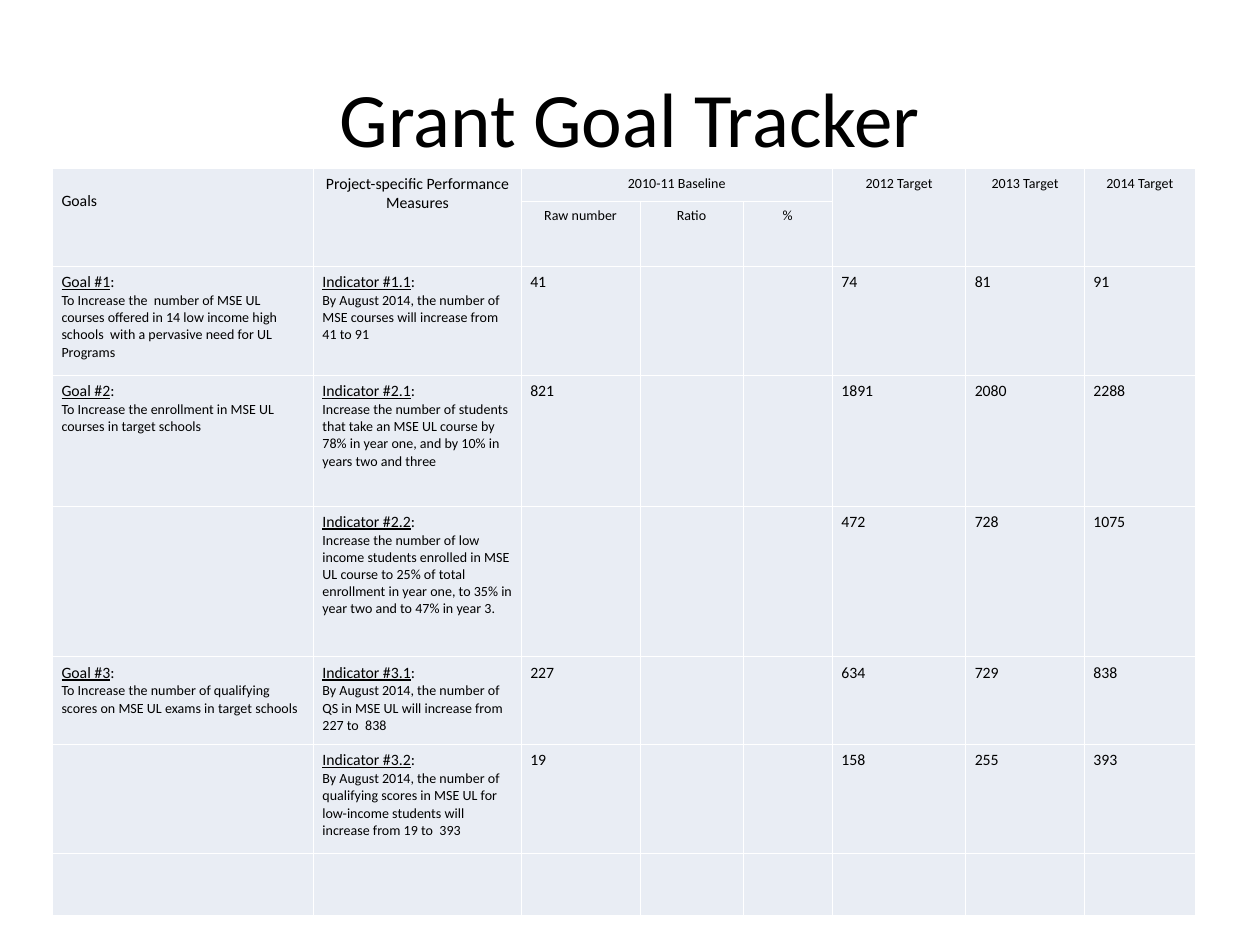
"""Build the Grant Goal Tracker slide: a title above a table of goals and yearly targets."""
from itertools import product

from lxml import etree
from pptx import Presentation
from pptx.dml.color import RGBColor
from pptx.enum.text import MSO_ANCHOR, PP_ALIGN
from pptx.oxml.ns import qn
from pptx.util import Cm, Pt

LEFT, CENTER = PP_ALIGN.LEFT, PP_ALIGN.CENTER
MIDDLE = MSO_ANCHOR.MIDDLE

TITLE = "Grant Goal Tracker"
HEADERS = [
    ["Goals", "Project-specific Performance Measures", "2010-11 Baseline", "", "",
     "2012 Target", "2013 Target", "2014 Target"],
    ["", "", "Raw number", "Ratio", "%", "", "", ""],
]
MERGES = [((0, col), (1, col)) for col in (0, 1, 5, 6, 7)] + [((0, 2), (0, 4))]
ROWS = [
    [("Goal #1", "To Increase the  number of MSE UL courses offered in 14 low income high "
                 "schools  with a pervasive need for UL Programs"),
     ("Indicator #1.1", "By August 2014, the number of MSE courses will increase from 41 to 91"),
     "41", "", "", "74", "81", "91"],
    [("Goal #2", "To Increase the enrollment in MSE UL courses in target schools"),
     ("Indicator #2.1", "Increase the number of students that take an MSE UL course by 78% in "
                        "year one, and by 10% in years two and three"),
     "821", "", "", "1891", "2080", "2288"],
    ["",
     ("Indicator #2.2", "Increase the number of low income students enrolled in MSE UL course to "
                        "25% of total enrollment in year one, to 35% in year two and to 47% in "
                        "year 3."),
     "", "", "", "472", "728", "1075"],
    [("Goal #3", "To Increase the number of qualifying scores on MSE UL exams in target schools"),
     ("Indicator #3.1", "By August 2014, the number of QS in MSE UL will increase from 227 to  838"),
     "227", "", "", "634", "729", "838"],
    ["",
     ("Indicator #3.2", "By August 2014, the number of qualifying scores in MSE UL for low-income "
                        "students will increase from 19 to  393"),
     "19", "", "", "158", "255", "393"],
    [""] * 8,
]
COL_WIDTHS = [5.26, 4.19, 2.39, 2.08, 1.8, 2.69, 2.39, 2.24]
ROW_HEIGHTS = [0.66, 1.32, 2.2, 2.63, 3.04, 1.77, 2.2, 1.25]

THEME = {
    "font": "Calibri", "text": RGBColor(0, 0, 0), "fill": RGBColor(0xE9, 0xED, 0xF4),
    "border": "FFFFFF", "border_width": Pt(0.45), "title": 44, "body": 9, "small": 8,
}
MARGINS = {"margin_left": Cm(0.18), "margin_right": Cm(0.18),
           "margin_top": Cm(0.13), "margin_bottom": Cm(0.13)}
GOALS_TOP = Cm(0.47)


def add_run(p, text, size, underline=None):
    r = p.add_run()
    r.text = text
    r.font.color.rgb = THEME["text"]
    style = {"name": THEME["font"], "size": Pt(THEME[size]), "underline": underline}
    for name, value in style.items():
        setattr(r.font, name, value)


def format_cell(cell):
    for name, value in MARGINS.items():
        setattr(cell, name, value)
    tc_pr = cell._tc.get_or_add_tcPr()
    for side in ("lnL", "lnR", "lnT", "lnB"):
        ln = etree.SubElement(tc_pr, qn(f"a:{side}"), w=str(THEME["border_width"]))
        solid = etree.SubElement(ln, qn("a:solidFill"))
        etree.SubElement(solid, qn("a:srgbClr"), val=THEME["border"])
    cell.fill.solid()
    cell.fill.fore_color.rgb = THEME["fill"]


def write_cell(cell, content, size, align):
    p = cell.text_frame.paragraphs[0]
    p.alignment = align
    if not content:
        etree.SubElement(p._p, qn("a:endParaRPr"), sz=str(THEME[size] * 100))
    elif isinstance(content, tuple):
        label, detail = content
        add_run(p, label, "body", True)
        add_run(p, ":", "body")
        add_run(cell.text_frame.add_paragraph(), detail, "small")
    else:
        add_run(p, content, size)


def add_title(slide):
    tf = slide.shapes.add_textbox(Cm(1.27), Cm(0.76), Cm(22.86), Cm(3.18)).text_frame
    tf.word_wrap = True
    tf.vertical_anchor = MIDDLE
    p = tf.paragraphs[0]
    p.alignment = CENTER
    add_run(p, TITLE, "title")


def add_tracker(slide):
    content = HEADERS + ROWS
    n_rows, n_cols = len(ROW_HEIGHTS), len(COL_WIDTHS)
    table = slide.shapes.add_table(n_rows, n_cols, Cm(1.06), Cm(3.39),
                                   Cm(sum(COL_WIDTHS)), Cm(sum(ROW_HEIGHTS))).table
    table.first_row = table.horz_banding = False
    for column, width in zip(table.columns, COL_WIDTHS):
        column.width = Cm(width)
    for row, height in zip(table.rows, ROW_HEIGHTS):
        row.height = Cm(height)
    for i, j in product(range(n_rows), range(n_cols)):
        is_header = i < len(HEADERS)
        size = "small" if is_header and j > 1 else "body"
        align = CENTER if is_header and j > 0 else LEFT
        format_cell(table.cell(i, j))
        write_cell(table.cell(i, j), content[i][j], size, align)
    table.cell(0, 0).margin_top = GOALS_TOP
    for start, end in MERGES:
        table.cell(*start).merge(table.cell(*end))


def main():
    prs = Presentation()
    prs.slide_width, prs.slide_height = Cm(25.4), Cm(19.05)
    slide = prs.slides.add_slide(prs.slide_layouts[6])
    add_title(slide)
    add_tracker(slide)
    prs.save("out.pptx")


if __name__ == "__main__":
    main()
